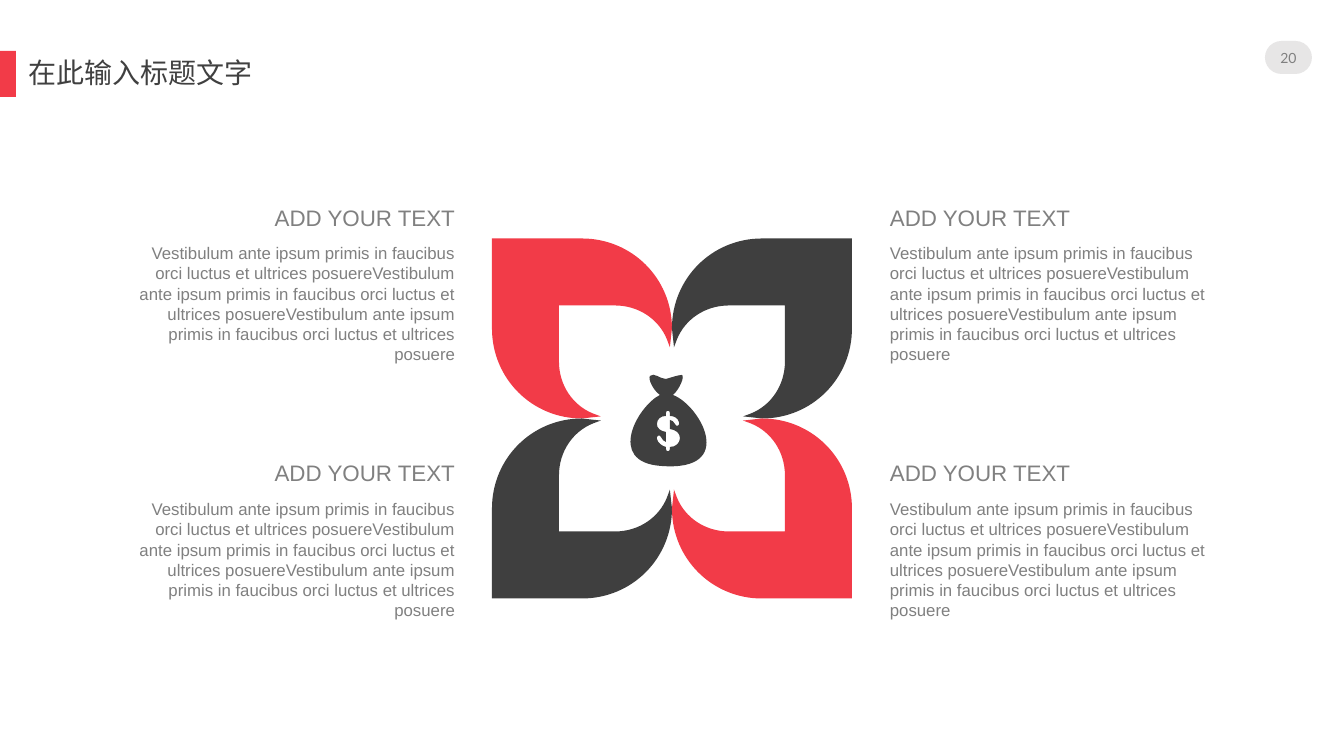
from lxml import etree
from pptx import Presentation
from pptx.dml.color import RGBColor
from pptx.enum.shapes import MSO_SHAPE
from pptx.enum.text import MSO_ANCHOR, MSO_AUTO_SIZE, PP_ALIGN
from pptx.oxml.ns import qn
from pptx.util import Pt

PX = 914400 / 100.8
ROUNDED = MSO_SHAPE.ROUNDED_RECTANGLE
TOP, MIDDLE = MSO_ANCHOR.TOP, MSO_ANCHOR.MIDDLE
FIT, NO_FIT = MSO_AUTO_SIZE.SHAPE_TO_FIT_TEXT, MSO_AUTO_SIZE.NONE
LEFT, CENTER, RIGHT = PP_ALIGN.LEFT, PP_ALIGN.CENTER, PP_ALIGN.RIGHT
RED, DARK, GRAY, PALE = "F23B48", "3F3F3F", "808080", "E7E6E6"

HEADING = "ADD YOUR TEXT"
BODY = "Vestibulum ante ipsum primis in faucibus orci luctus et ultrices posuere" * 3


def paint(fill, color):
    fill.solid()
    fill.fore_color.rgb = RGBColor.from_string(color)


def add_text(text, box, size=12, font="Arial", color=GRAY, align=LEFT,
             anchor=TOP, fit=FIT, inset=None, spacing=None, before=None):
    text_box = slide.shapes.add_textbox(*[round(value * PX) for value in box])
    frame = text_box.text_frame
    frame.word_wrap = True
    frame.auto_size = fit
    frame.vertical_anchor = anchor
    if inset is not None:
        frame.margin_left = frame.margin_right = inset
        frame.margin_top = frame.margin_bottom = inset
    paragraph = frame.paragraphs[0]
    paragraph.alignment = align
    paragraph.line_spacing = spacing
    paragraph.space_before = before
    run = paragraph.add_run()
    run.text = text
    run.font.size = Pt(size)
    run.font.name = font
    paint(run.font.fill, color)
    east_asian = etree.SubElement(run.font._element, qn("a:ea"))
    east_asian.set("typeface", font)


presentation = Presentation()
presentation.slide_width = round(1344 * PX)
presentation.slide_height = round(756 * PX)
slide = presentation.slides.add_slide(presentation.slide_layouts[6])
filled_shapes = []

# Title marker and page number badge
for box, rounding, color in [((0, 51, 16, 46), 0, RED),
                             ((1265, 41, 47, 33), 0.5, PALE)]:
    shape = slide.shapes.add_shape(ROUNDED, *[round(value * PX) for value in box])
    shape.adjustments[0] = rounding
    filled_shapes.append((shape, color))

add_text("在此输入标题文字", (28, 51, 420, 46), size=20, font="Noto Sans CJK SC",
         color="404040", anchor=MIDDLE, fit=NO_FIT, inset=0, spacing=0.9,
         before=Pt(10))
add_text("20", (1265, 36, 47, 43), size=10, font="Lato", align=CENTER,
         anchor=MIDDLE, fit=NO_FIT, inset=0)

# Outlines: two numbers are a corner, six are a cubic curve
petal = [
    (180, 180), (90, 180), (40, 180, 0, 140, 0, 90), (1, 81),
    (1, 78, 2, 75, 2, 72), (2, 71), (5, 79), (13, 99, 33, 113, 57, 113),
    (113, 113), (113, 57), (113, 33, 99, 13, 79, 5), (71, 2), (72, 2),
    (75, 2, 78, 1, 81, 1), (90, 0), (140, 0, 180, 40, 180, 90)]
bag = [
    (673, 395), (680, 389, 685, 376, 682, 375),
    (678, 375, 670, 378, 666, 379), (660, 379, 654, 372, 650, 376),
    (648, 379, 653, 390, 660, 395), (638, 406, 606, 462, 661, 466),
    (738, 472, 700, 405, 673, 395)]
dollar = [
    (680, 438), (680, 443, 676, 447, 670, 447), (670, 449),
    (670, 452, 666, 452, 666, 449), (666, 447),
    (662, 446, 658, 443, 657, 439), (656, 436, 660, 434, 661, 437),
    (662, 440, 664, 441, 666, 442), (666, 432),
    (660, 431, 657, 428, 657, 424), (657, 419, 661, 416, 666, 416),
    (666, 413), (666, 410, 670, 410, 670, 413), (670, 416),
    (674, 416, 678, 418, 679, 422), (681, 425, 676, 428, 675, 424),
    (674, 422, 672, 420, 670, 420), (670, 429),
    (676, 430, 680, 433, 680, 438)]

# Four petals mirrored about the centre, then the money bag
figures = [([petal], RED if side_x == side_y else DARK, 672, 418.5, side_x, side_y)
           for side_y in (-1, 1) for side_x in (-1, 1)]
figures.append(([bag, dollar], DARK, 0, 0, 1, 1))

for contours, color, center_x, center_y, side_x, side_y in figures:
    builder = None
    curve_starts = []
    line_count = 0
    for contour in contours:
        points = []
        for segment in contour:
            if len(segment) == 6:
                curve_starts.append(line_count + len(points) - 1)
            points += [(round((center_x + side_x * x) * PX),
                        round((center_y + side_y * y) * PX))
                       for x, y in zip(segment[::2], segment[1::2])]
        if builder is None:
            builder = slide.shapes.build_freeform(*points[0])
        else:
            builder.move_to(*points[0])
        builder.add_line_segments(points[1:], close=False)
        builder.add_line_segments([], close=True)
        line_count += len(points) - 1
    shape = builder.convert_to_shape()
    lines = list(shape._element.iter(qn("a:lnTo")))
    for start in curve_starts:
        curve = etree.Element(qn("a:cubicBezTo"))
        lines[start].addprevious(curve)
        for line in lines[start:start + 3]:
            curve.append(line[0])
            line.getparent().remove(line)
    filled_shapes.append((shape, color))

for shape, color in filled_shapes:
    shape.shadow.inherit = False
    shape.line.fill.background()
    paint(shape.fill, color)

# Heading and body beside each petal
for left, align, heading_widths in [(880, LEFT, (245, 274)),
                                    (116, RIGHT, (235, 272))]:
    for top, body_top, width in zip((199, 454), (238, 494), heading_widths):
        heading_left = left if align == LEFT else left + 349 - width
        add_text(HEADING, (heading_left, top, width, 37), size=16, align=align)
        add_text(BODY, (left, body_top, 349, 173), align=align)

presentation.save("out.pptx")
